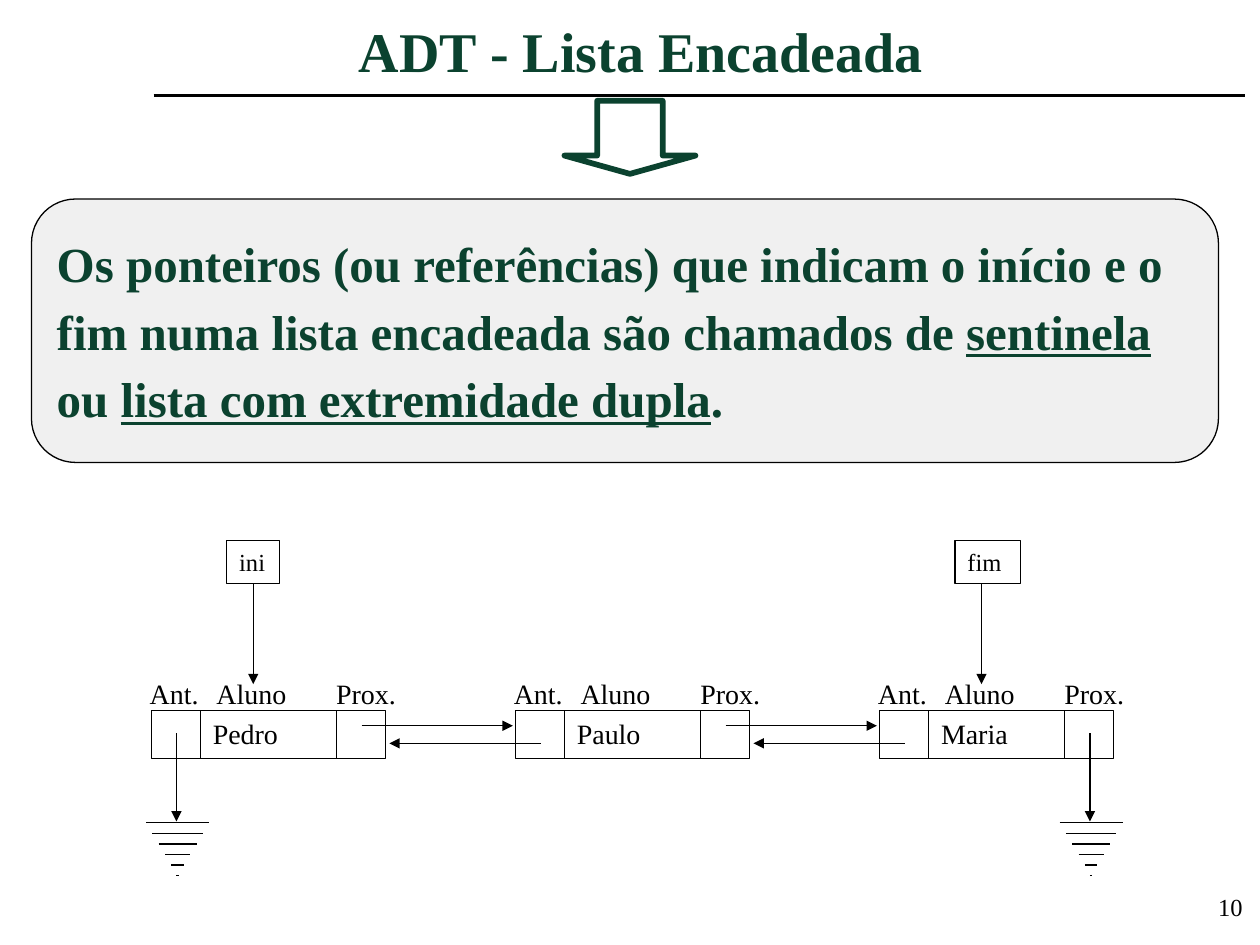
from dataclasses import dataclass

from lxml import etree
from pptx import Presentation
from pptx.dml.color import RGBColor
from pptx.enum.shapes import MSO_CONNECTOR, MSO_SHAPE as SHAPE
from pptx.enum.text import MSO_ANCHOR as ANCHOR, PP_ALIGN as ALIGN
from pptx.oxml.ns import qn
from pptx.util import Inches, Pt


@dataclass(frozen=True)
class Theme:
    font: str = "Times New Roman"
    ink: RGBColor = RGBColor(0x00, 0x00, 0x00)
    green: RGBColor = RGBColor(0x0B, 0x42, 0x2F)
    panel: RGBColor = RGBColor(0xF0, 0xF0, 0xF0)
    title: int = 32
    body: int = 28
    label: int = 16
    small: int = 14
    thin: float = 0.75
    rule: float = 1.5
    outline: float = 3.25


T = Theme()


def write(tf, lines, size, color=T.ink, bold=False, align=ALIGN.LEFT, gap=0):
    """Fill tf with lines, each a list of (text, underlined) pairs."""
    for i, line in enumerate(lines):
        p = tf.paragraphs[0] if i == 0 else tf.add_paragraph()
        p.alignment = align
        if i:
            p.space_before = Pt(gap)
        for text, underlined in line:
            r = p.add_run()
            r.text = text
            style = dict(name=T.font, size=Pt(size), bold=bold, underline=underlined)
            for key, value in style.items():
                setattr(r.font, key, value)
            r.font.color.rgb = color


def add_label(s, box, text, size, **style):
    tf = s.shapes.add_textbox(*map(Inches, box)).text_frame
    tf.word_wrap = True
    write(tf, [[(text, False)]], size, **style)
    return tf


def add_box(s, kind, box, fill=None, line=T.ink, width=T.thin):
    sp = s.shapes.add_shape(kind, *map(Inches, box))
    sp.shadow.inherit = False
    if fill is None:
        sp.fill.background()
    else:
        sp.fill.solid()
        sp.fill.fore_color.rgb = fill
    sp.line.color.rgb = line
    sp.line.width = Pt(width)
    return sp


def add_cell(s, box, text="", size=T.label):
    sp = add_box(s, SHAPE.RECTANGLE, box)
    if text:
        sp.text_frame.vertical_anchor = ANCHOR.TOP
        write(sp.text_frame, [[(text, False)]], size)


def add_line(s, x1, y1, x2, y2, width=T.thin, arrow=False):
    c = s.shapes.add_connector(MSO_CONNECTOR.STRAIGHT, *map(Inches, (x1, y1, x2, y2)))
    c.line.color.rgb = T.ink
    c.line.width = Pt(width)
    if arrow:
        etree.SubElement(c.line._get_or_add_ln(), qn("a:tailEnd"), type="triangle")
    etree.SubElement(c._element.spPr, qn("a:effectLst"))


def header(s, x, y, w, h):
    tf = add_label(s, (x, y, w, h), "ADT - Lista Encadeada", T.title,
                   color=T.green, bold=True)
    tf.paragraphs[0]._p.get_or_add_pPr().set("marL", str(Inches(1.42)))
    add_line(s, 1.22, y + 0.68, 9.88, y + 0.68, T.rule)
    arrow = add_box(s, SHAPE.DOWN_ARROW, (4.48, y + 0.72, 1.04, 0.58),
                    line=T.green, width=T.outline)
    arrow.adjustments[0], arrow.adjustments[1] = 0.5, 0.25


def definition(s, x, y, w, h):
    sp = add_box(s, SHAPE.ROUNDED_RECTANGLE, (x, y, w, h), fill=T.panel)
    tf = sp.text_frame
    tf.word_wrap = False
    tf.vertical_anchor = ANCHOR.MIDDLE
    lines = [
        [("Os ponteiros (ou referências) que indicam o início e o", False)],
        [("fim numa lista encadeada são chamados de ", False), ("sentinela", True)],
        [("ou ", False), ("lista com extremidade dupla", True), (".", False)],
    ]
    write(tf, lines, T.body, color=T.green, bold=True, gap=5)


def node(s, x, y, name):
    """List node: previous pointer, data and next pointer, with labels above."""
    side, data, h = 0.39, 1.08, 0.38
    add_cell(s, (x, y, side, h))
    add_cell(s, (x + side, y, data, h), name)
    add_cell(s, (x + side + data, y, side, h))
    for text, dx, w in (("Ant.", -0.11, 0.73), ("Aluno", 0.42, 1.06), ("Prox.", 1.37, 0.73)):
        add_label(s, (x + dx, y - 0.32, w, 0.37), text, T.label)


def links(s, x, y):
    """Next and previous arrows between the node at x and the one after it."""
    add_line(s, x + 1.67, y + 0.12, x + 2.87, y + 0.12, arrow=True)
    add_line(s, x + 3.09, y + 0.26, x + 1.89, y + 0.26, arrow=True)


def sentinel(s, x, y, w, text):
    add_cell(s, (x, y, w, 0.34), text, T.small)
    add_line(s, x + 0.21, y + 0.34, x + 0.21, y + 1.14, arrow=True)


def ground(s, x, y):
    """Null pointer: an arrow down to a stack of shrinking bars."""
    add_line(s, x, y, x, y + 0.7, arrow=True)
    for i, w in enumerate((0.5, 0.4, 0.3, 0.2, 0.1, 0.02)):
        bar_y = y + 0.71 + 0.084 * i
        add_line(s, x + 0.01 - w / 2, bar_y, x + 0.01 + w / 2, bar_y)


def linked_list(s, x, y, names, step=2.89):
    for i, name in enumerate(names):
        node(s, x + step * i, y, name)
        if i < len(names) - 1:
            links(s, x + step * i, y)
    last = x + step * (len(names) - 1)
    sentinel(s, x + 0.6, y - 1.35, 0.42, "ini")
    sentinel(s, last + 0.6, y - 1.35, 0.52, "fim")
    ground(s, x + 0.2, y + 0.18)
    ground(s, last + 1.67, y + 0.18)


def main():
    prs = Presentation()
    prs.slide_width, prs.slide_height = Inches(10), Inches(7.5)
    s = prs.slides.add_slide(prs.slide_layouts[6])
    header(s, 1.33, 0.08, 8.42, 0.64)
    definition(s, 0.25, 1.58, 9.42, 2.09)
    linked_list(s, 1.2, 5.64, ("Pedro", "Paulo", "Maria"))
    add_label(s, (7.88, 7.03, 2.08, 0.5), "10", T.small, align=ALIGN.RIGHT)
    prs.save("out.pptx")


if __name__ == "__main__":
    main()
